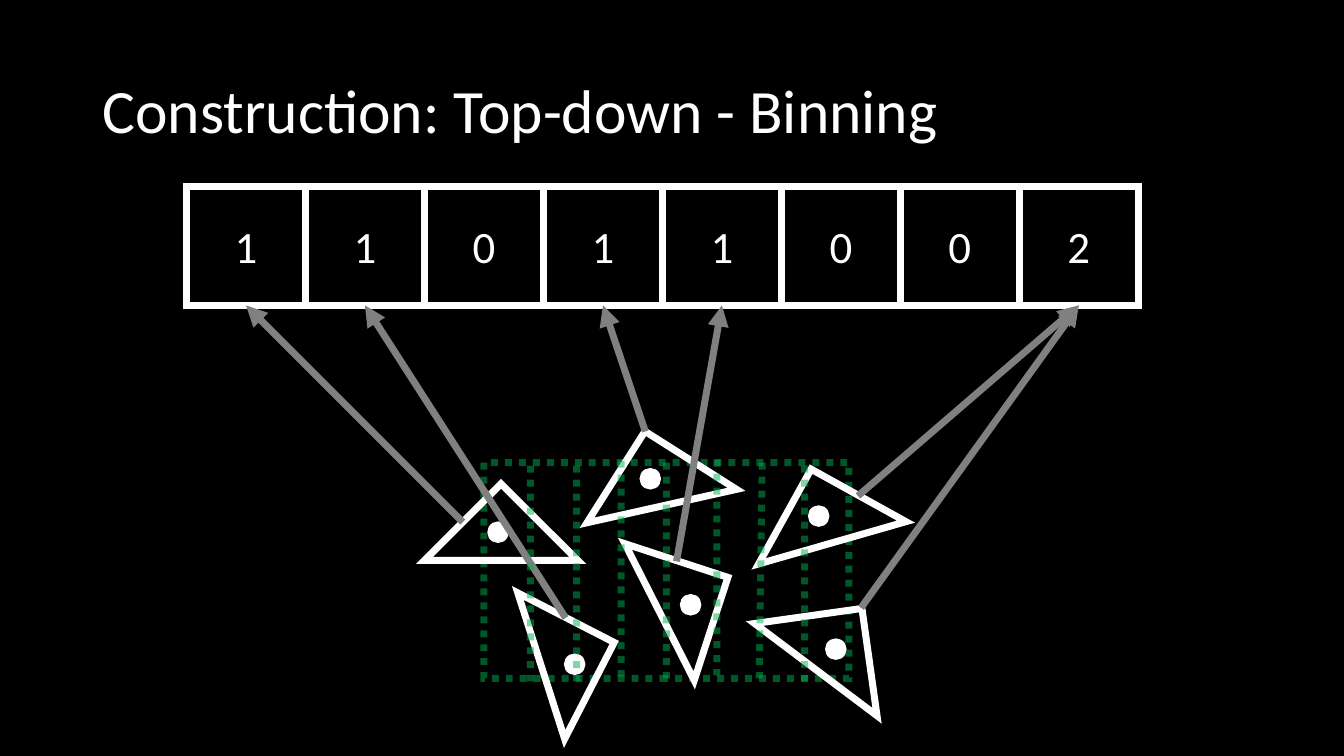
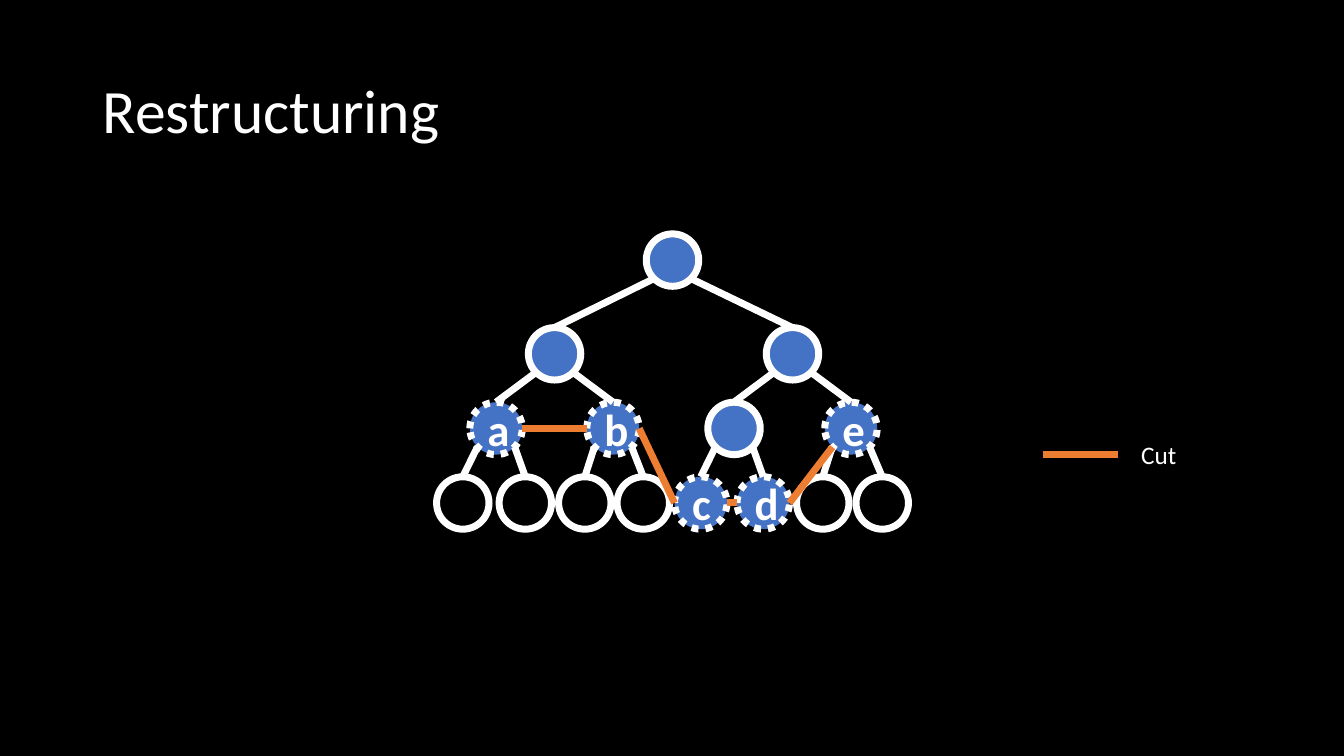
from lxml import etree
from pptx import Presentation
from pptx.dml.color import RGBColor
from pptx.enum.dml import MSO_LINE
from pptx.enum.shapes import MSO_CONNECTOR, MSO_SHAPE
from pptx.enum.text import MSO_ANCHOR, PP_ALIGN
from pptx.oxml.ns import qn
from pptx.util import Inches, Pt

BLACK = RGBColor(0x00, 0x00, 0x00)
WHITE = RGBColor(0xFF, 0xFF, 0xFF)
GRAY = RGBColor(0x80, 0x80, 0x80)
GREEN = RGBColor(0x00, 0xB0, 0x50)
BLUE = RGBColor(0x44, 0x72, 0xC4)
ORANGE = RGBColor(0xED, 0x7D, 0x31)
FONT = "Calibri"
STROKE = 5

BIN_COUNT, BIN_LEFT, BIN_TOP, BIN_SIZE = 8, 1.85, 1.85, 1.18
BOUNDS = (4.8, 4.59, 3.62, 2.14)
TRI_W, TRI_H, DOT = 1.52, 0.76, 0.2
TRIANGLES = [
    {"at": (4.21, 4.80), "rot": 0, "bin": 0, "arrow": (4.59, 5.18)},
    {"at": (6.12, 5.52), "rot": 63.1, "bin": 4, "arrow": (6.71, 5.57)},
    {"at": (4.97, 6.11), "rot": 72.2, "bin": 1, "arrow": (5.61, 6.13)},
    {"at": (5.72, 4.27), "rot": 347.4, "bin": 3, "arrow": (6.40, 4.28)},
    {"at": (7.56, 5.96), "rot": 37, "bin": 7, "arrow": (8.54, 6.03)},
    {"at": (7.39, 4.64), "rot": 344, "bin": 7, "arrow": (8.51, 4.92)},
]
DIVIDERS = [
    (5.26, 5.26, 4.62), (5.72, 5.72, 4.62), (6.16, 6.16, 4.57), (6.61, 6.61, 4.59),
    (7.11, 7.11, 4.56), (7.56, 7.53, 4.59), (7.98, 7.98, 4.62),
]

NODE = 0.52
DIAGONAL = NODE / 2 * 0.71
LEVELS = [
    (2.58, [6.67]),
    (3.51, [5.50, 7.86]),
    (4.25, [4.92, 6.08, 7.28, 8.44]),
    (4.99, [4.59, 5.21, 5.80, 6.38, 6.95, 7.57, 8.16, 8.75]),
]
CUT_NODES = {(2, 0): "a", (2, 1): "b", (3, 4): "c", (3, 5): "d", (2, 3): "e"}


def style_text(tf, size, bold=False, align=PP_ALIGN.LEFT):
    p = tf.paragraphs[0]
    p.alignment = align
    for r in p.runs:
        r.font.name = FONT
        r.font.size = Pt(size)
        r.font.bold = bold
        r.font.color.rgb = WHITE


def style_line(sp, color, stroke=STROKE, dotted=False, alpha=None):
    sp.line.color.rgb = color
    sp.line.width = Pt(stroke)
    if dotted:
        sp.line.dash_style = MSO_LINE.ROUND_DOT
    ln = sp.element.spPr.find(qn("a:ln"))
    etree.SubElement(ln, qn("a:miter"), lim="800000")
    if alpha:
        clr = ln.find(".//" + qn("a:srgbClr"))
        etree.SubElement(clr, qn("a:alpha"), val=str(alpha * 1000))
    return ln


def add_outline(s, kind, left, top, width, height, fill=None, color=WHITE,
                text="", size=32, bold=False, rotation=0, **line):
    sp = s.shapes.add_shape(kind, Inches(left), Inches(top), Inches(width), Inches(height))
    sp.shadow.inherit = False
    sp.rotation = rotation
    if fill is None:
        sp.fill.background()
    else:
        sp.fill.solid()
        sp.fill.fore_color.rgb = fill
    style_line(sp, color, **line)
    if text:
        sp.text_frame.text = text
        style_text(sp.text_frame, size, bold, PP_ALIGN.CENTER)


def add_line(s, start, end, color, arrow=False, **line):
    cx = s.shapes.add_connector(MSO_CONNECTOR.STRAIGHT, *map(Inches, start + end))
    ln = style_line(cx, color, **line)
    if arrow:
        etree.SubElement(ln, qn("a:tailEnd"), type="triangle")
    etree.SubElement(cx.element.spPr, qn("a:effectLst"))


def add_text(s, text, left, top, width, height, size, wrap=True):
    tf = s.shapes.add_textbox(Inches(left), Inches(top), Inches(width), Inches(height)).text_frame
    tf.word_wrap = wrap
    tf.text = text
    style_text(tf, size)
    return tf


def add_slide(prs, title):
    s = prs.slides.add_slide(prs.slide_layouts[6])
    s.background.fill.solid()
    s.background.fill.fore_color.rgb = BLACK
    tf = add_text(s, title, 0.92, 0.4, 11.5, 1.45, 44)
    tf.vertical_anchor = MSO_ANCHOR.MIDDLE
    tf.paragraphs[0].line_spacing = 0.9
    return s


def build_binning(prs):
    s = add_slide(prs, "Construction: Top-down - Binning")
    add_outline(s, MSO_SHAPE.RECTANGLE, *BOUNDS, color=GREEN, dotted=True, alpha=50)
    targets = [t["bin"] for t in TRIANGLES]
    for i in range(BIN_COUNT):
        add_outline(s, MSO_SHAPE.RECTANGLE, BIN_LEFT + i * BIN_SIZE, BIN_TOP,
                    BIN_SIZE, BIN_SIZE, text=str(targets.count(i)))
    for t in TRIANGLES:
        x, y = t["at"]
        add_outline(s, MSO_SHAPE.ISOSCELES_TRIANGLE, x, y, TRI_W, TRI_H, rotation=t["rot"])
        add_outline(s, MSO_SHAPE.OVAL, x + 0.63, y + 0.38, DOT, DOT, fill=WHITE, stroke=1)
    for t in TRIANGLES:
        end = (BIN_LEFT + (t["bin"] + 0.5) * BIN_SIZE, BIN_TOP + BIN_SIZE)
        add_line(s, t["arrow"], end, GRAY, arrow=True)
    for x1, x2, top in DIVIDERS:
        add_line(s, (x1, top), (x2, top + BOUNDS[3]), GREEN, dotted=True, alpha=50)


def build_restructuring(prs):
    s = add_slide(prs, "Restructuring")
    half = NODE / 2
    for depth, (y, xs) in enumerate(LEVELS):
        for i, x in enumerate(xs):
            label = CUT_NODES.get((depth, i), "")
            is_leaf = depth == len(LEVELS) - 1
            add_outline(s, MSO_SHAPE.OVAL, x - half, y - half, NODE, NODE,
                        fill=None if is_leaf and not label else BLUE,
                        text=label, bold=True, dotted=bool(label))
    for (y, xs), (child_y, child_xs) in zip(LEVELS, LEVELS[1:]):
        for i, child_x in enumerate(child_xs):
            side = 1 if i % 2 else -1
            add_line(s, (xs[i // 2] + side * DIAGONAL, y + DIAGONAL),
                     (child_x, child_y - half), WHITE)

    centers = {label: (LEVELS[d][1][i], LEVELS[d][0]) for (d, i), label in CUT_NODES.items()}
    for start, end in ("ab", "bc", "cd"):
        (x1, y1), (x2, y2) = centers[start], centers[end]
        add_line(s, (x1 + half, y1), (x2 - half, y2), ORANGE)
    (dx, dy), (ex, ey) = centers["d"], centers["e"]
    add_line(s, (ex - DIAGONAL, ey + DIAGONAL), (dx + half, dy), ORANGE)

    add_line(s, (10.34, 4.51), (11.09, 4.51), ORANGE)
    add_text(s, "Cut", 11.22, 4.31, 0.55, 0.4, 18, wrap=False)


def main():
    prs = Presentation()
    prs.slide_width, prs.slide_height = Inches(13.33), Inches(7.5)
    build_binning(prs)
    build_restructuring(prs)
    prs.save("out.pptx")


if __name__ == "__main__":
    main()
